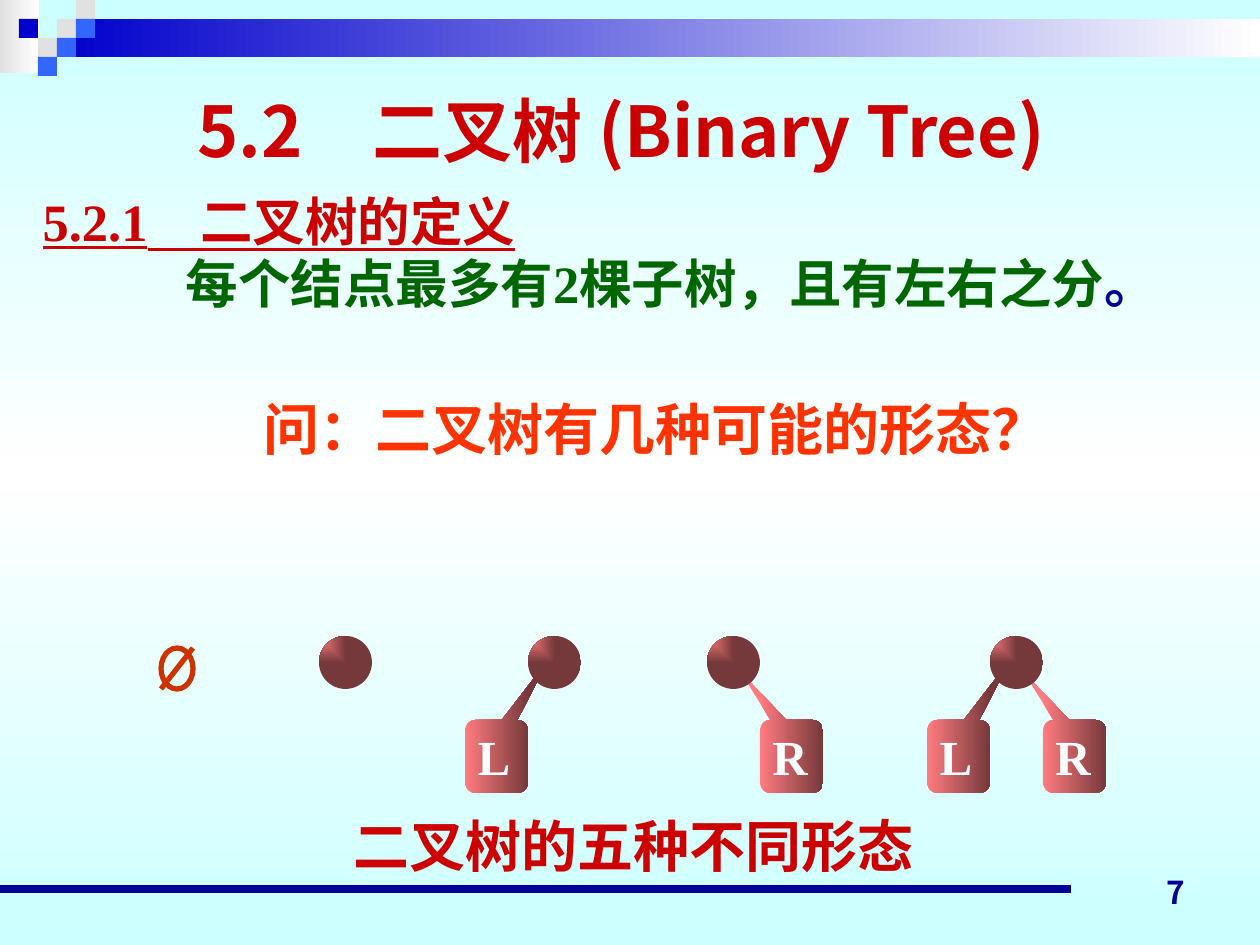
from copy import deepcopy
from dataclasses import dataclass

from lxml.etree import SubElement
from pptx import Presentation
from pptx.dml.color import RGBColor
from pptx.enum.shapes import MSO_CONNECTOR, MSO_SHAPE
from pptx.enum.text import MSO_ANCHOR, MSO_AUTO_SIZE, PP_ALIGN
from pptx.oxml.ns import qn
from pptx.util import Emu, Pt

NAVY = RGBColor(0x00, 0x00, 0x99)
BLUE = RGBColor(0x00, 0x00, 0xCC)
SKY = RGBColor(0x33, 0x66, 0xFF)
GREY = RGBColor(0xE1, 0xE1, 0xE1)
WHITE = RGBColor(0xFF, 0xFF, 0xFF)
CYAN = RGBColor(0xCC, 0xFF, 0xFF)
RED = RGBColor(0xCC, 0x00, 0x00)
RUST = RGBColor(0xCC, 0x33, 0x00)
ORANGE = RGBColor(0xFF, 0x33, 0x00)
GREEN = RGBColor(0x00, 0x66, 0x00)
PINK = RGBColor(0xFF, 0x7C, 0x80)
BROWN = RGBColor(0x76, 0x39, 0x3B)

SANS = "Noto Sans CJK JP"
SERIF = "Times New Roman"
CELL = 19
NODE, NODE_TOP = 53, 636
BOX_W, BOX_H, BOX_TOP = 63, 73, 720


@dataclass
class Square:
    col: int
    row: int
    color: RGBColor


@dataclass
class Tree:
    x: int
    left: bool = False
    right: bool = False


@dataclass
class Subtree:
    x: int
    label: str
    label_w: int
    tail: tuple


SQUARES = [
    Square(3, 1, GREY), Square(4, 0, GREY), Square(4, 1, SKY), Square(2, 2, GREY),
    Square(1, 1, BLUE), Square(3, 2, SKY), Square(2, 3, SKY),
]
TREES = [Tree(319), Tree(528, left=True), Tree(707, right=True), Tree(990, left=True, right=True)]


def px(n: int) -> Emu:
    return Emu(round(n * 914400 / 126))


def add_shape(s, kind, x: int, y: int, w: int, h: int, fill=None, line=None):
    sp = s.shapes.add_shape(kind, px(x), px(y), px(w), px(h))
    sp.shadow.inherit = False
    if fill is None:
        sp.fill.background()
    elif isinstance(fill, RGBColor):
        sp.fill.solid()
        sp.fill.fore_color.rgb = fill
    else:
        set_gradient(sp.fill, *fill)
    if line is None:
        sp.line.fill.background()
    else:
        sp.line.color.rgb = line
        sp.line.width = Pt(3)
    return sp


def set_gradient(fill, start: RGBColor, end: RGBColor, angle: int = 0) -> None:
    fill.gradient()
    fill.gradient_angle = angle
    for stop, color in zip(fill.gradient_stops, (start, end)):
        stop.color.rgb = color


def add_line(s, x1: int, y1: int, x2: int, y2: int, color: RGBColor, width: float) -> None:
    cn = s.shapes.add_connector(MSO_CONNECTOR.STRAIGHT, px(x1), px(y1), px(x2), px(y2))
    cn.line.color.rgb = color
    cn.line.width = Pt(width)
    SubElement(cn._element.spPr, qn("a:effectLst"))


def add_run(p, text: str, *, size: int, color: RGBColor, font: str = SERIF, underline: bool = False) -> None:
    r = p.add_run()
    r.text = text
    r.font.size = Pt(size)
    r.font.bold = True
    r.font.underline = underline
    r.font.color.rgb = color
    r.font.name = font
    SubElement(r._r.get_or_add_rPr(), qn("a:ea"), typeface=SANS)


def add_text(s, text: str, x: int, y: int, w: int, h: int, *, align=PP_ALIGN.LEFT,
             anchor=MSO_ANCHOR.TOP, wrap: bool = True, **fmt) -> None:
    tf = s.shapes.add_textbox(px(x), px(y), px(w), px(h)).text_frame
    tf.word_wrap = wrap
    tf.vertical_anchor = anchor
    p = tf.paragraphs[0]
    p.alignment = align
    add_run(p, text, **fmt)


def place(ph, x: int, y: int, w: int, h: int):
    ph.left, ph.top, ph.width, ph.height = px(x), px(y), px(w), px(h)
    ph.text_frame.auto_size = MSO_AUTO_SIZE.NONE
    return ph.text_frame


def add_body_paragraph(p, indent: int) -> None:
    pPr = p._p.get_or_add_pPr()
    pPr.set("marL", str(px(indent)))
    pPr.set("indent", "0")
    SubElement(pPr, qn("a:buNone"))
    p.line_spacing = 0.9
    p.space_before = Pt(0)


def set_background(s) -> None:
    fill = s.background.fill
    set_gradient(fill, CYAN, CYAN, 270)
    stops = s._element.find(".//" + qn("a:gsLst"))
    middle = deepcopy(stops[0])
    stops.insert(1, middle)
    fill.gradient_stops[1].color.rgb = WHITE
    fill.gradient_stops[1].position = 0.5


def add_banner(s) -> None:
    add_shape(s, MSO_SHAPE.RECTANGLE, 0, 0, 39, 73, (GREY, WHITE))
    add_shape(s, MSO_SHAPE.RECTANGLE, 3 * CELL, CELL, 1260 - 3 * CELL, 2 * CELL, (BLUE, WHITE))
    for q in SQUARES:
        add_shape(s, MSO_SHAPE.RECTANGLE, q.col * CELL, q.row * CELL, CELL, CELL, q.color)
    add_line(s, 0, 889, 1071, 889, NAVY, 4.5)


def subtrees(t: Tree) -> list[Subtree]:
    found = []
    if t.left:
        found.append(Subtree(t.x - BOX_W, "L", 58, (0.82, -1.32)))
    if t.right:
        found.append(Subtree(t.x + NODE, "R", 60, (-0.83, -1.19)))
    return found


def add_callout(s, b: Subtree) -> None:
    sp = add_shape(s, MSO_SHAPE.ROUNDED_RECTANGULAR_CALLOUT, b.x, BOX_TOP, BOX_W, BOX_H, (PINK, BROWN))
    sp.adjustments[0], sp.adjustments[1] = b.tail
    sp.adjustments[2] = 0.17


def add_node(s, x: int) -> None:
    sp = add_shape(s, MSO_SHAPE.OVAL, x, NODE_TOP, NODE, NODE, (PINK, BROWN))
    grad = sp._element.spPr.find(qn("a:gradFill"))
    grad.remove(grad.find(qn("a:lin")))
    shade = SubElement(grad, qn("a:path"), path="rect")
    SubElement(shade, qn("a:fillToRect"), r="100000", b="100000")


def add_trees(s) -> None:
    boxes = [b for t in TREES for b in subtrees(t)]
    for b in boxes:
        add_callout(s, b)
    add_shape(s, MSO_SHAPE.OVAL, 161, 648, 32, 41, line=RUST)
    add_line(s, 193, 648, 161, 689, RUST, 3)
    for t in TREES:
        add_node(s, t.x)
    for b in boxes:
        add_text(s, b.label, b.x, BOX_TOP, b.label_w, 72, align=PP_ALIGN.CENTER,
                 anchor=MSO_ANCHOR.MIDDLE, wrap=False, size=28, color=WHITE)


def main() -> None:
    prs = Presentation()
    prs.slide_width, prs.slide_height = px(1260), px(945)
    s = prs.slides.add_slide(prs.slide_layouts[1])
    set_background(s)
    add_banner(s)
    add_trees(s)

    tf = place(s.shapes.title, 54, 60, 1134, 139)
    tf.vertical_anchor = MSO_ANCHOR.MIDDLE
    p = tf.paragraphs[0]
    p.alignment = PP_ALIGN.CENTER
    add_run(p, "5.2　二叉树 (Binary Tree)", size=40, color=RED, font=SANS)

    tf = place(s.placeholders[1], 30, 190, 1201, 353)
    p = tf.paragraphs[0]
    add_body_paragraph(p, 0)
    add_run(p, "5.2.1　二叉树的定义", size=30, color=RED, underline=True)
    p = tf.add_paragraph()
    add_body_paragraph(p, 143)
    p.space_before = Pt(3)
    add_run(p, "每个结点最多有2棵子树，且有左右之分", size=30, color=GREEN)
    add_run(p, "。", size=30, color=NAVY)

    add_text(s, "问：二叉树有几种可能的形态？", 251, 388, 854, 79, size=32, color=ORANGE, font="Arial")
    add_text(s, "二叉树的五种不同形态", 193, 805, 882, 79, align=PP_ALIGN.CENTER, size=32, color=RED)
    add_text(s, "7", 903, 854, 294, 63, align=PP_ALIGN.RIGHT, anchor=MSO_ANCHOR.BOTTOM,
             size=18, color=NAVY, font=SANS)
    prs.save("out.pptx")


if __name__ == "__main__":
    main()
